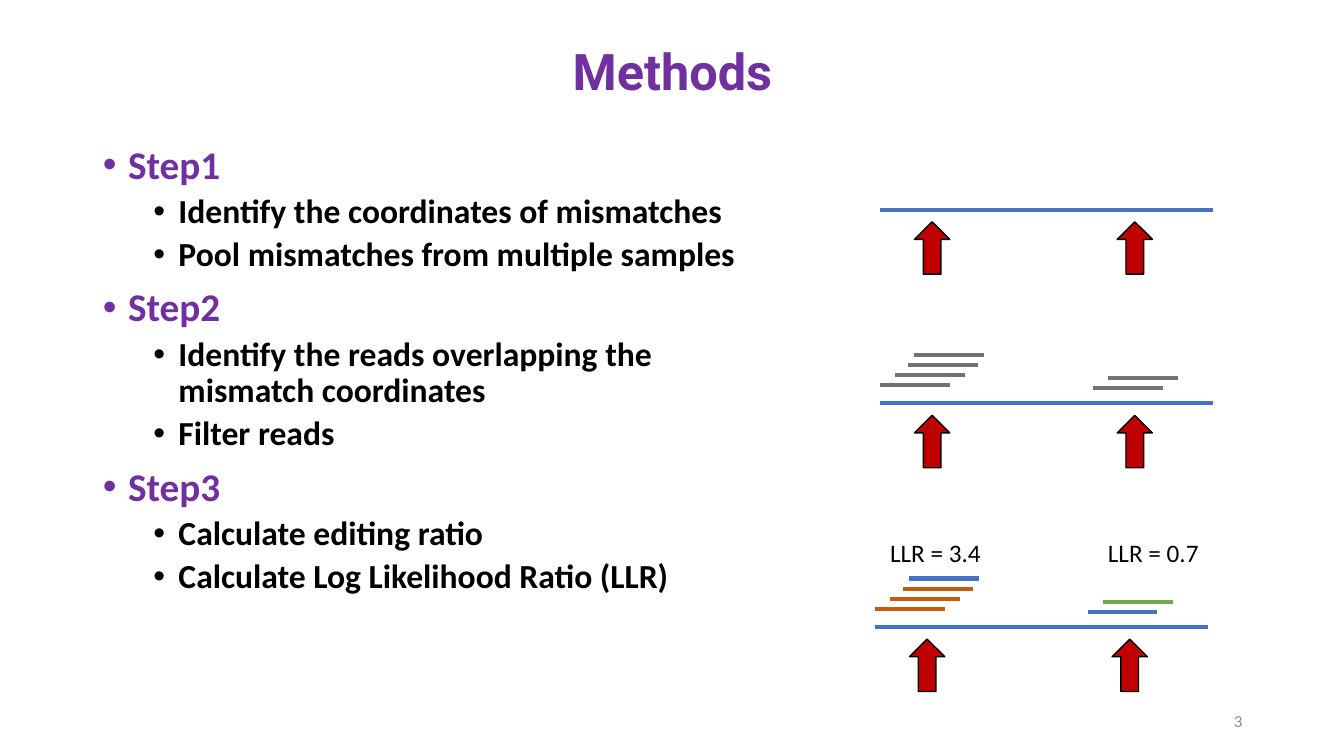
import pptx
import pptx.dml.color
import pptx.enum.shapes
import pptx.enum.text
import pptx.oxml
import pptx.oxml.ns
import pptx.util
from pptx.util import Inches

# Content
TITLE = "Methods"
SLIDE_NUMBER = "3"
STEPS = [
    ("Step1", ["Identify the coordinates of mismatches",
               "Pool mismatches from multiple samples"]),
    ("Step2", ["Identify the reads overlapping the mismatch coordinates",
               "Filter reads"]),
    ("Step3", ["Calculate editing ratio",
               "Calculate Log Likelihood Ratio (LLR)"]),
]
# Each panel: left and height of the genome line, read colours per site (bottom up), labels
PANELS = [
    (8.73, 2.08, [[], []], []),
    (8.73, 4.0, [["gray"] * 4, ["gray"] * 2], []),
    (8.68, 6.22, [["orange", "orange", "orange", "blue"], ["blue", "green"]],
     ["LLR = 3.4", "LLR = 0.7"]),
]

# Theme
THEME = {
    "colors": {"purple": "7030A0", "black": "000000", "blue": "4472C4", "gray": "767171",
               "orange": "C55A11", "green": "70AD47", "red": "C00000", "footer": "8C8C8C"},
    "title": {"name": "Roboto", "size": 36, "bold": True, "color": "purple"},
    "step": {"name": "Calibri", "size": 28, "bold": True, "color": "purple"},
    "detail": {"name": "Calibri", "size": 24, "bold": True, "color": "black"},
    "label": {"name": "Calibri", "size": 18, "bold": False, "color": "black"},
    "footer": {"name": "Calibri", "size": 12, "bold": False, "color": "footer"},
}

# Panel geometry, measured from the left end of the genome line
GENOME_LENGTH, READ_LENGTH, READ_STEP = 3.3, 0.69, 0.1
ARROW_LEFTS, ARROW_DROP, ARROW_WIDTH, ARROW_HEIGHT = (0.34, 2.35), 0.12, 0.35, 0.52
READ_SITES = [([0, 0.15, 0.28, 0.34], 0.18), ([2.11, 2.26], 0.15)]
LABEL_LEFTS, LABEL_RISE = (0.05, 2.21), 0.94


def color(name):
    return pptx.dml.color.RGBColor.from_string(THEME["colors"][name])


def place(shape, left, top, width, height):
    box = {"left": left, "top": top, "width": width, "height": height}
    for name, value in box.items():
        setattr(shape, name, Inches(value))


def write(paragraph, text, style, **layout):
    for name, value in layout.items():
        setattr(paragraph, name, value)
    run = paragraph.add_run()
    run.text = text
    style = THEME[style]
    font_format = {"name": style["name"], "size": pptx.util.Pt(style["size"]),
                   "bold": style["bold"]}
    for name, value in font_format.items():
        setattr(run.font, name, value)
    run.font.color.rgb = color(style["color"])


def add_bullet(paragraph, margin):
    properties = paragraph._p.get_or_add_pPr()
    properties.set("marL", str(Inches(margin)))
    properties.set("indent", str(Inches(-0.25)))
    namespace = pptx.oxml.ns.nsdecls("a")
    for xml in (f'<a:buFont {namespace} typeface="Arial"/>',
                f'<a:buChar {namespace} char="•"/>'):
        properties.append(pptx.oxml.parse_xml(xml))


def add_line(slide, left, top, length, color_name):
    line = slide.shapes.add_connector(
        pptx.enum.shapes.MSO_CONNECTOR.STRAIGHT,
        Inches(left), Inches(top), Inches(left + length), Inches(top))
    line.line.color.rgb = color(color_name)
    line.line.width = pptx.util.Pt(3)
    line._element.spPr.append(
        pptx.oxml.parse_xml(f'<a:effectLst {pptx.oxml.ns.nsdecls("a")}/>'))


def add_arrow(slide, left, top):
    arrow = slide.shapes.add_shape(
        pptx.enum.shapes.MSO_SHAPE.UP_ARROW,
        Inches(left), Inches(top), Inches(ARROW_WIDTH), Inches(ARROW_HEIGHT))
    arrow.shadow.inherit = False
    arrow.fill.solid()
    arrow.fill.fore_color.rgb = color("red")
    arrow.line.color.rgb = color("black")
    arrow.line.width = pptx.util.Pt(1)


def add_text(slide, box, text, style, **layout):
    frame = slide.shapes.add_textbox(*map(Inches, box)).text_frame
    frame.word_wrap = True
    frame.vertical_anchor = pptx.enum.text.MSO_ANCHOR.MIDDLE
    write(frame.paragraphs[0], text, style, **layout)


def add_panel(slide, left, top, read_colors, labels):
    add_line(slide, left, top, GENOME_LENGTH, "blue")
    for offset in ARROW_LEFTS:
        add_arrow(slide, left + offset, top + ARROW_DROP)
    for (offsets, rise), names in zip(READ_SITES, read_colors):
        for level, (offset, name) in enumerate(zip(offsets, names)):
            add_line(slide, left + offset, top - rise - level * READ_STEP, READ_LENGTH, name)
    for offset, label in zip(LABEL_LEFTS, labels):
        add_text(slide, (left + offset, top - LABEL_RISE, 1.27, 0.4), label, "label")


def main():
    presentation = pptx.Presentation()
    presentation.slide_width = Inches(13.33)
    presentation.slide_height = Inches(7.5)
    slide = presentation.slides.add_slide(presentation.slide_layouts[1])

    # Title
    title = slide.shapes.title
    place(title, 0.92, 0.4, 11.5, 0.67)
    title.text_frame.auto_size = pptx.enum.text.MSO_AUTO_SIZE.NONE
    title.text_frame.vertical_anchor = pptx.enum.text.MSO_ANCHOR.MIDDLE
    write(title.text_frame.paragraphs[0], TITLE, "title", line_spacing=0.9,
          alignment=pptx.enum.text.PP_ALIGN.CENTER)

    # Steps
    body = slide.placeholders[1]
    place(body, 0.92, 1.39, 6.92, 5.36)
    frame = body.text_frame
    frame.auto_size = pptx.enum.text.MSO_AUTO_SIZE.NONE
    rows = [row for step, details in STEPS
            for row in [(step, 0)] + [(detail, 1) for detail in details]]
    for index, (text, level) in enumerate(rows):
        paragraph = frame.add_paragraph() if index else frame.paragraphs[0]
        add_bullet(paragraph, (0.25, 0.75)[level])
        space = (10, 5)[level] if index else 0
        write(paragraph, text, ("step", "detail")[level], level=level,
              line_spacing=0.9, space_before=pptx.util.Pt(space))

    # Read diagrams
    for panel in PANELS:
        add_panel(slide, *panel)

    # Slide number
    add_text(slide, (9.42, 6.95, 3, 0.4), SLIDE_NUMBER, "footer",
             alignment=pptx.enum.text.PP_ALIGN.RIGHT)

    presentation.save("out.pptx")


if __name__ == "__main__":
    main()
